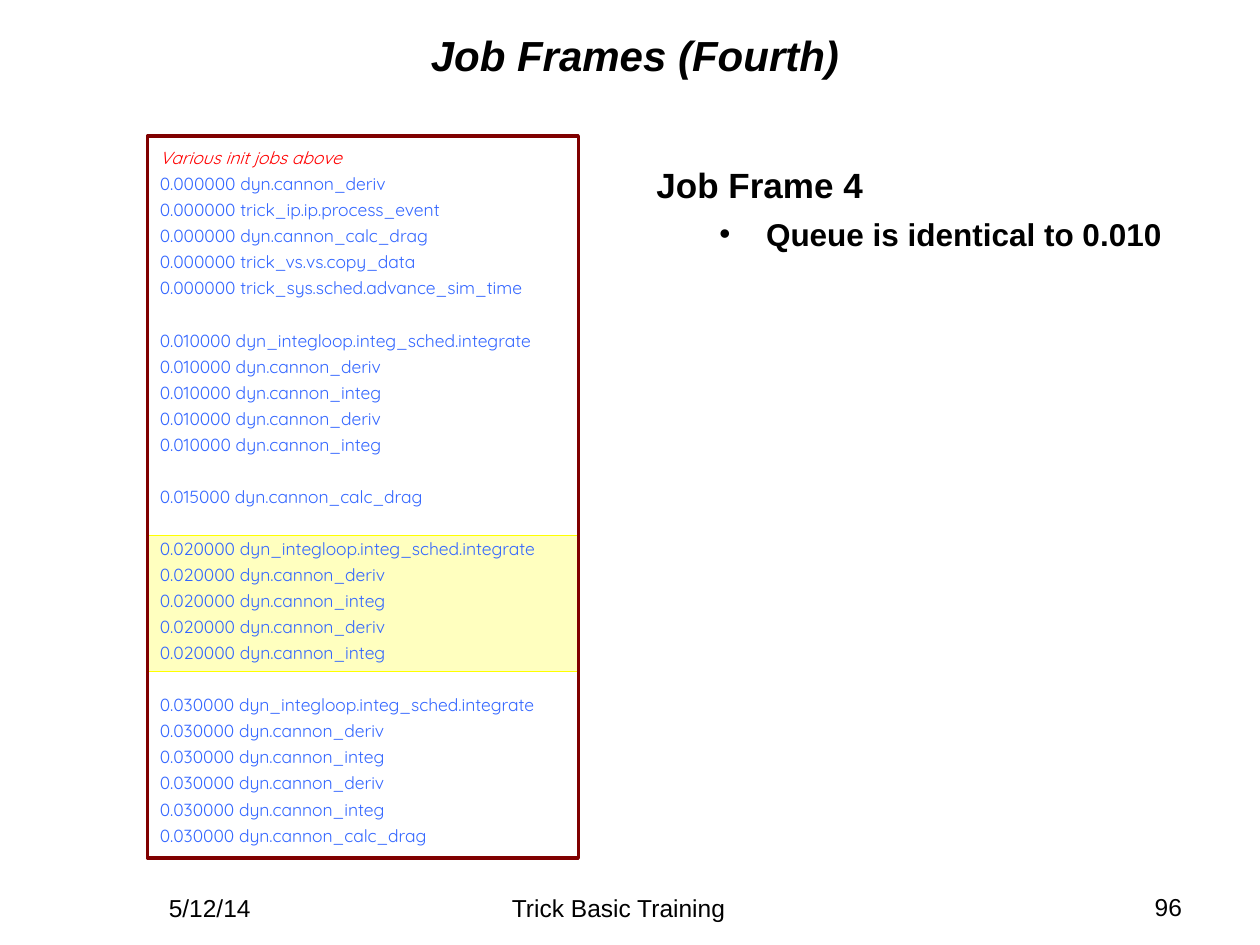
from lxml import etree
from pptx import Presentation
from pptx.dml.color import RGBColor
from pptx.enum.shapes import MSO_SHAPE
from pptx.enum.text import MSO_ANCHOR, MSO_AUTO_SIZE, PP_ALIGN
from pptx.oxml.ns import qn
from pptx.util import Inches, Pt

RECTANGLE = MSO_SHAPE.RECTANGLE
ROUNDED = MSO_SHAPE.ROUNDED_RECTANGLE
TOP, MIDDLE = MSO_ANCHOR.TOP, MSO_ANCHOR.MIDDLE
NO_FIT = MSO_AUTO_SIZE.NONE
LEFT, CENTER, RIGHT = PP_ALIGN.LEFT, PP_ALIGN.CENTER, PP_ALIGN.RIGHT

COLORS = {
    "text": "000000",
    "init": "FF0000",
    "job": "3366FF",
    "frame": "800000",
    "highlight": "FFFF00",
}

LINE_SPACING = 1.24
FRAME_GAP = Pt(14.9)  # one line of the queue

DERIV = "dyn.cannon_deriv"
INTEG = "dyn.cannon_integ"
DRAG = "dyn.cannon_calc_drag"
INTEGRATION = ["dyn_integloop.integ_sched.integrate", DERIV, INTEG, DERIV, INTEG]

JOB_FRAMES = [
    ("0.000000", [DERIV, "trick_ip.ip.process_event", DRAG,
                  "trick_vs.vs.copy_data", "trick_sys.sched.advance_sim_time"]),
    ("0.010000", INTEGRATION),
    ("0.015000", [DRAG]),
    ("0.020000", INTEGRATION),
    ("0.030000", INTEGRATION + [DRAG]),
]


def rgb(name):
    return RGBColor.from_string(COLORS[name])


def place(shape, left, top, width, height):
    shape.left, shape.top = Inches(left), Inches(top)
    shape.width, shape.height = Inches(width), Inches(height)


def format_runs(paragraph, size, color="text", font="Arial", bold=False, italic=False):
    for run in paragraph.runs:
        run.font.name = font
        run.font.size = Pt(size)
        run.font.bold = bold
        run.font.italic = italic
        run.font.color.rgb = rgb(color)


def set_bullet(paragraph, indent, char=None):
    """Set a hanging indent, with a bullet if a character is given."""
    properties = paragraph._p.get_or_add_pPr()
    properties.set("marL", str(Inches(indent)))
    properties.set("indent", str(Inches(-0.37)))
    if char:
        etree.SubElement(properties, qn("a:buChar")).set("char", char)
    else:
        etree.SubElement(properties, qn("a:buNone"))


def add_box(slide, preset, bounds, line_color, line_width):
    box = slide.shapes.add_shape(preset, *map(Inches, bounds))
    box.shadow.inherit = False
    box.fill.background()
    box.line.color.rgb = rgb(line_color)
    box.line.width = Pt(line_width)
    return box


def add_highlight(slide):
    highlight = add_box(slide, ROUNDED, (1.17, 4.25, 3.42, 1.08), "highlight", 1)
    highlight.adjustments[0] = 0
    highlight.fill.solid()
    highlight.fill.fore_color.rgb = rgb("highlight")
    fill_color = highlight.fill._xPr.find(qn("a:solidFill"))[0]
    etree.SubElement(fill_color, qn("a:alpha")).set("val", "25000")


def add_queue_line(frame, text, color, italic=False, gap=0):
    line = frame.add_paragraph() if frame.text else frame.paragraphs[0]
    line.text = text
    line.alignment = LEFT
    line.line_spacing = LINE_SPACING
    line.space_before = gap
    format_runs(line, 10, color, "Quicksand", italic=italic)


def add_job_queue(slide):
    queue = add_box(slide, RECTANGLE, (1.17, 1.08, 3.42, 5.73), "frame", 2)
    frame = queue.text_frame
    frame.word_wrap = True
    frame.vertical_anchor = TOP
    add_queue_line(frame, "Various init jobs above", "init", italic=True)
    for number, (time, jobs) in enumerate(JOB_FRAMES):
        for position, job in enumerate(jobs):
            gap = FRAME_GAP if number and not position else 0
            add_queue_line(frame, f"{time} {job}", "job", gap=gap)


def fill_title(title):
    place(title, 1, 0.14, 8.08, 0.5)
    frame = title.text_frame
    frame.text = "Job Frames (Fourth)"
    frame.auto_size = NO_FIT
    frame.vertical_anchor = MIDDLE
    heading = frame.paragraphs[0]
    heading.alignment = CENTER
    heading.line_spacing = LINE_SPACING
    format_runs(heading, 24, bold=True, italic=True)


def fill_notes_list(body):
    place(body, 5.11, 1.25, 4.39, 5.45)
    frame = body.text_frame
    frame.text = "Job Frame 4"
    frame.auto_size = NO_FIT
    heading = frame.paragraphs[0]
    set_bullet(heading, 0.37)
    heading.space_before = 0
    format_runs(heading, 20, bold=True)

    remark = frame.add_paragraph()
    remark.text = "Queue is identical to 0.010"
    remark.level = 1
    set_bullet(remark, 0.87, "•")
    remark.space_before = Pt(5)
    format_runs(remark, 18, bold=True)


def add_footer(slide, text, bounds, alignment):
    footer = slide.shapes.add_textbox(*map(Inches, bounds))
    frame = footer.text_frame
    frame.word_wrap = True
    frame.text = text
    frame.paragraphs[0].alignment = alignment
    format_runs(frame.paragraphs[0], 14)


def main():
    deck = Presentation()
    deck.slide_width, deck.slide_height = Inches(10), Inches(7.5)
    slide = deck.slides.add_slide(deck.slide_layouts[1])

    # Title and remarks
    fill_title(slide.shapes.title)
    fill_notes_list(slide.placeholders[1])

    # Job queue, with the current frame highlighted behind the text
    add_highlight(slide)
    add_job_queue(slide)

    # Footer
    add_footer(slide, "5/12/14", (0.5, 7.04, 2.33, 0.34), CENTER)
    add_footer(slide, "Trick Basic Training", (3.33, 7.04, 3.16, 0.39), CENTER)
    add_footer(slide, "96", (7.15, 7.03, 2.33, 0.39), RIGHT)

    deck.save("out.pptx")


if __name__ == "__main__":
    main()
